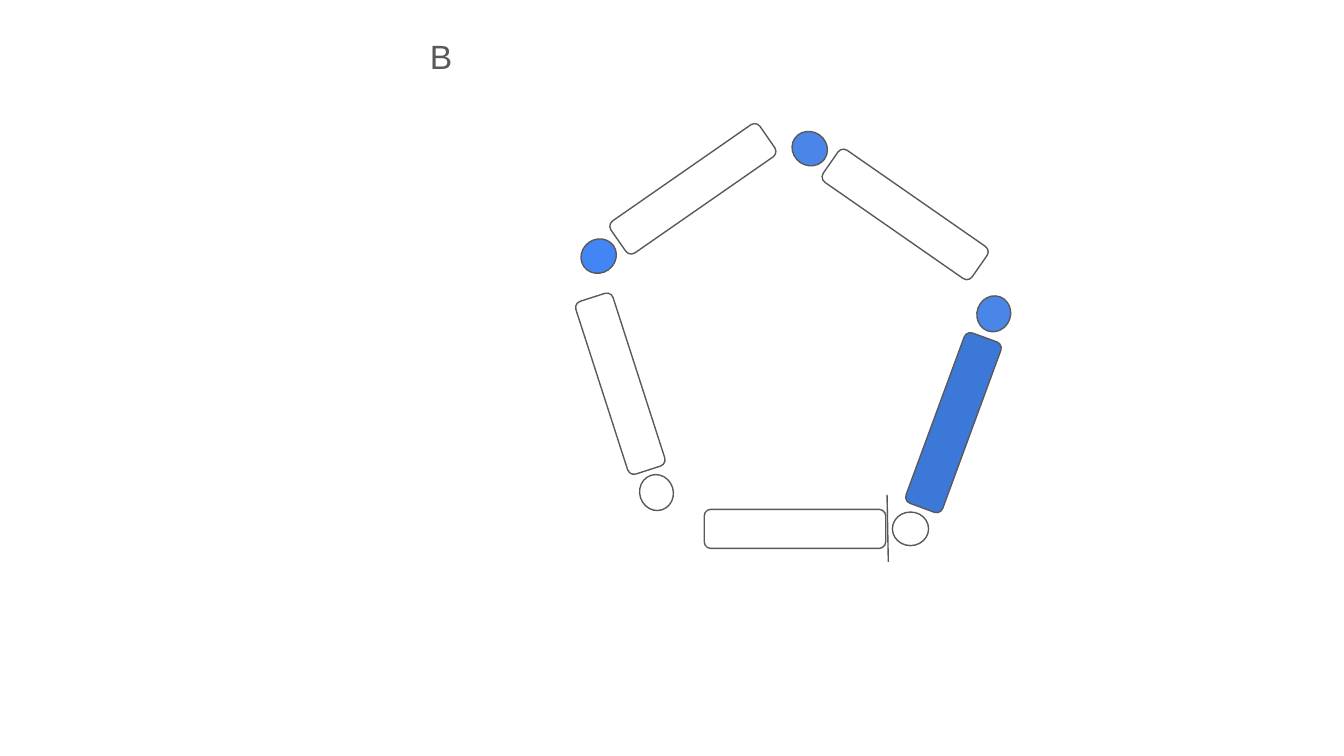
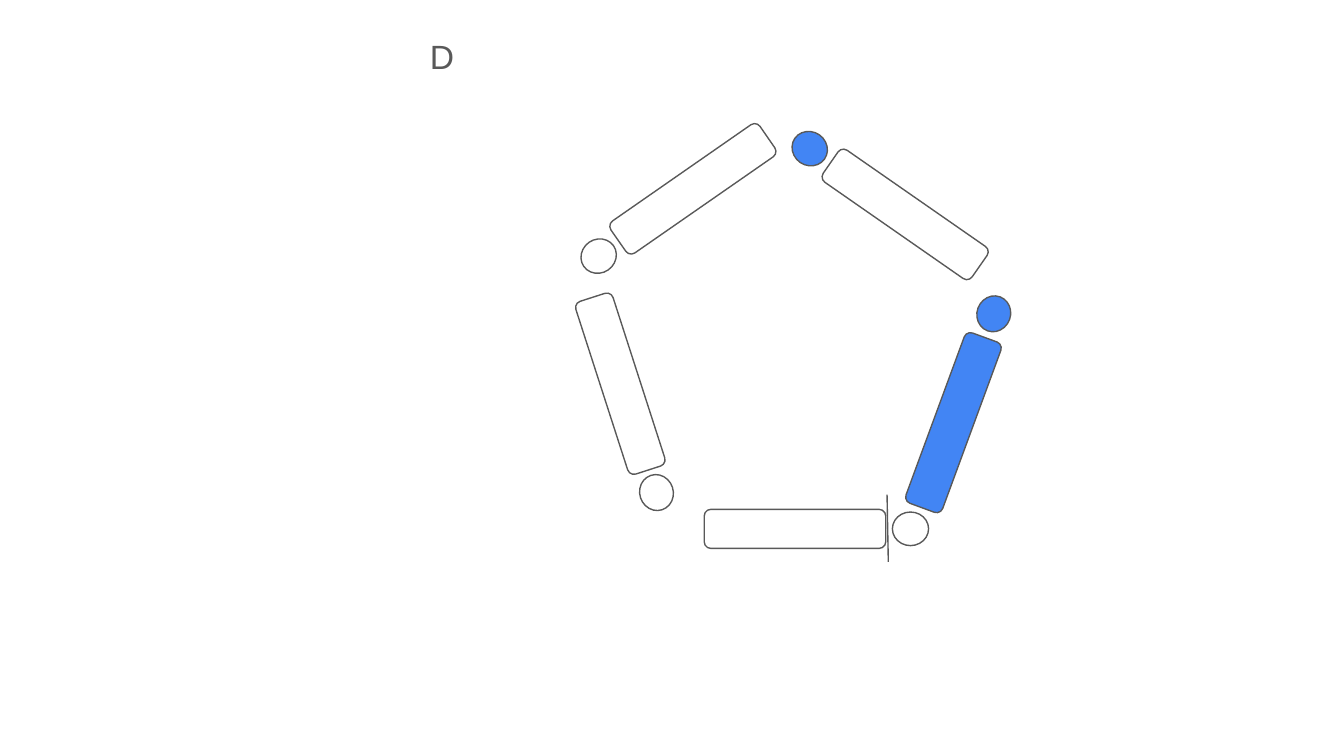
from typing import NamedTuple

from lxml import etree
from pptx import Presentation
from pptx.dml.color import RGBColor
from pptx.enum.shapes import MSO_CONNECTOR, MSO_SHAPE
from pptx.enum.text import MSO_AUTO_SIZE
from pptx.oxml.ns import qn
from pptx.util import Pt

ROUND = MSO_SHAPE.ROUNDED_RECTANGLE
OVAL = MSO_SHAPE.OVAL
LINE = MSO_CONNECTOR.STRAIGHT
GROW = MSO_AUTO_SIZE.SHAPE_TO_FIT_TEXT

# Shared look
FONT = "Arial"
GREY = "595959"
WHITE = "FFFFFF"
BLUE = "4285F4"
SOFT = "4A86E8"
DEEP = "3C78D8"
BAR = (97.2, 20.9)
DOT = (19.4, 18)


class Side(NamedTuple):
    """Corner points of a bar and its dot, and the turn of both."""
    bar: tuple[float, float]
    dot: tuple[float, float]
    turn: float


class Ring(NamedTuple):
    """Label of a slide, and the bar and dot fills of each side."""
    label: str
    fills: list[tuple[str, str]]


# Sides run counterclockwise from the base
SIDES = [
    Side((377.3, 272.9), (478.1, 274.3), 0),
    Side((462.2, 216), (522.7, 159.1), 290.2),
    Side((436.3, 104.4), (424.1, 70.6), 214.8),
    Side((322.6, 90.7), (311, 128.2), 145.2),
    Side((283.7, 195.1), (342, 254.9), 72.1),
]

EMPTY = (WHITE, WHITE)
RINGS = [
    Ring("B", [EMPTY, (DEEP, SOFT), (WHITE, SOFT), (WHITE, BLUE), EMPTY]),
    Ring("D", [EMPTY, (BLUE, BLUE), (WHITE, BLUE), EMPTY, EMPTY]),
]


def paint(target, color: str) -> None:
    target.solid()
    target.fore_color.rgb = RGBColor.from_string(color)


def edge(line) -> None:
    paint(line.fill, GREY)
    line.width = Pt(0.75)


def add_part(slide, kind, spot: tuple[float, float],
             size: tuple[float, float], turn: float, color: str) -> None:
    part = slide.shapes.add_shape(kind, *map(Pt, spot + size))
    part.rotation = turn
    part.shadow.inherit = False
    paint(part.fill, color)
    edge(part.line)


def add_mark(slide) -> None:
    mark = slide.shapes.add_connector(
        LINE, Pt(475.2), Pt(265), Pt(475.9), Pt(301))
    edge(mark.line)
    etree.SubElement(mark.element.spPr, qn("a:effectLst"))


def add_label(slide, text: str) -> None:
    box = slide.shapes.add_textbox(Pt(223.2), Pt(12.2), Pt(288), Pt(36))
    frame = box.text_frame
    frame.word_wrap = True
    frame.auto_size = GROW
    frame.margin_left = frame.margin_right = Pt(7.2)
    frame.margin_top = frame.margin_bottom = Pt(7.2)
    line = frame.paragraphs[0]
    line.text = text
    line.font.name = FONT
    line.font.size = Pt(18)
    paint(line.font.fill, GREY)


def add_ring(deck, ring: Ring) -> None:
    slide = deck.slides.add_slide(deck.slide_layouts[6])
    paint(slide.background.fill, WHITE)
    for side, (bar, dot) in zip(SIDES, ring.fills):
        add_part(slide, ROUND, side.bar, BAR, side.turn, bar)
        add_part(slide, OVAL, side.dot, DOT, side.turn, dot)
    add_mark(slide)
    add_label(slide, ring.label)


def main() -> None:
    deck = Presentation()
    deck.slide_width = Pt(720)
    deck.slide_height = Pt(405)
    for ring in RINGS:
        add_ring(deck, ring)
    deck.save("out.pptx")


if __name__ == "__main__":
    main()
